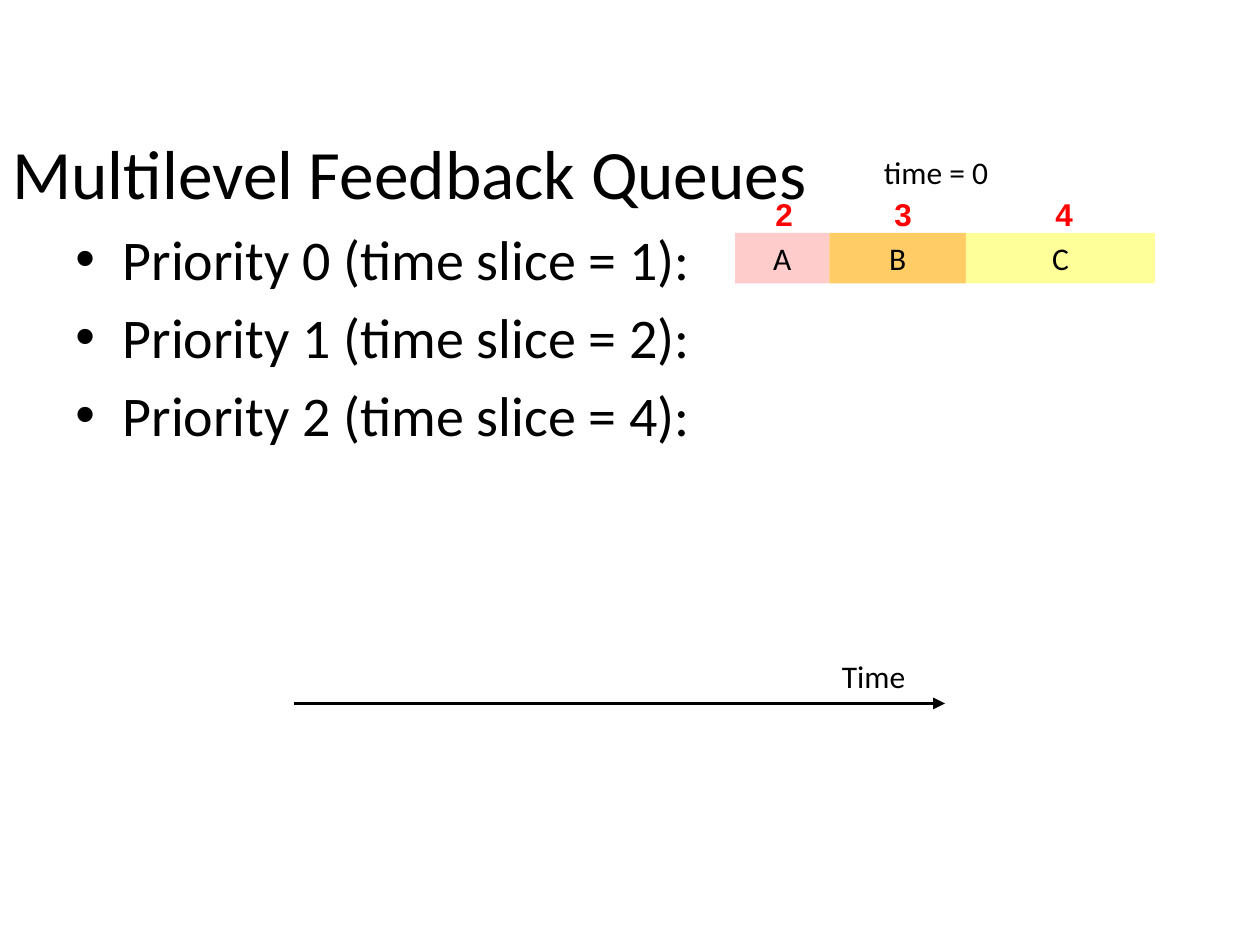
from dataclasses import dataclass

from lxml import etree
from pptx import Presentation
from pptx.dml.color import RGBColor
from pptx.enum.shapes import MSO_CONNECTOR, MSO_SHAPE
from pptx.enum.text import MSO_ANCHOR, MSO_AUTO_SIZE, PP_ALIGN
from pptx.oxml.ns import qn
from pptx.util import Pt

RECT = MSO_SHAPE.RECTANGLE
LINE = MSO_CONNECTOR.STRAIGHT
TOP = MSO_ANCHOR.TOP
MIDDLE = MSO_ANCHOR.MIDDLE
LEFT = PP_ALIGN.LEFT
CENTER = PP_ALIGN.CENTER
GROW = MSO_AUTO_SIZE.SHAPE_TO_FIT_TEXT


@dataclass(frozen=True)
class Theme:
    font: str = "Calibri"
    bold: str = "Arial"
    ink: str = "000000"
    red: str = "FF0000"
    pink: str = "FFCCCC"
    orange: str = "FFCC66"
    yellow: str = "FFFF99"
    title: float = 39.6
    body: float = 32
    label: float = 18


THEME = Theme()


def rgb(code):
    return RGBColor.from_string(code)


def style(frame, size, align=LEFT, color=THEME.ink, font=THEME.font, bold=False):
    for para in frame.paragraphs:
        para.alignment = align
        for run in para.runs:
            run.font.name = font
            run.font.size = Pt(size)
            run.font.bold = bold
            run.font.color.rgb = rgb(color)


def add_text(slide, text, x, y, w, h, size, anchor=TOP):
    box = slide.shapes.add_textbox(Pt(x), Pt(y), Pt(w), Pt(h))
    frame = box.text_frame
    frame.word_wrap = True
    frame.vertical_anchor = anchor
    frame.text = text
    style(frame, size)
    return frame


def add_label(slide, text, x, y, w, **look):
    frame = add_text(slide, text, x, y, w, 29, THEME.label)
    frame.word_wrap = False
    frame.auto_size = GROW
    style(frame, THEME.label, **look)


def add_list(slide, items, x, y, w, h):
    frame = add_text(slide, "\n".join(items), x, y, w, h, THEME.body)
    for para in frame.paragraphs:
        para.space_before = Pt(6)
        props = para._p.get_or_add_pPr()
        props.set("marL", str(Pt(27)))
        props.set("indent", str(Pt(-27)))
        etree.SubElement(props, qn("a:buFont"), typeface=THEME.bold)
        etree.SubElement(props, qn("a:buChar"), char="•")


def add_job(slide, name, x, y, w, fill):
    job = slide.shapes.add_shape(RECT, Pt(x), Pt(y), Pt(w), Pt(29))
    job.shadow.inherit = False
    job.fill.solid()
    job.fill.fore_color.rgb = rgb(fill)
    job.line.fill.background()
    frame = job.text_frame
    frame.vertical_anchor = TOP
    frame.auto_size = GROW
    frame.text = name
    style(frame, THEME.label, CENTER)


def add_arrow(slide, x1, x2, y):
    arrow = slide.shapes.add_connector(LINE, Pt(x1), Pt(y), Pt(x2), Pt(y))
    arrow.line.color.rgb = rgb(THEME.ink)
    arrow.line.width = Pt(2.25)
    etree.SubElement(arrow.line._get_or_add_ln(), qn("a:tailEnd"), type="triangle")
    etree.SubElement(arrow._element.spPr, qn("a:effectLst"))


def main():
    deck = Presentation()
    deck.slide_width, deck.slide_height = Pt(720), Pt(540)
    slide = deck.slides.add_slide(deck.slide_layouts[6])

    add_text(slide, "Multilevel Feedback Queues", 0, 72, 648, 52, THEME.title, MIDDLE)
    levels = [f"Priority {n} (time slice = {2 ** n}):" for n in range(3)]
    add_list(slide, levels, 36, 125, 684, 404)

    jobs = [
        ("A", "2", 54, 436, THEME.pink),
        ("B", "3", 78, 504, THEME.orange),
        ("C", "4", 108, 596, THEME.yellow),
    ]
    x = 420
    for name, count, width, mark, fill in jobs:
        add_job(slide, name, x, 133, width, fill)
        add_label(slide, count, mark, 108, 24, color=THEME.red, font=THEME.bold, bold=True)
        x += width

    add_label(slide, "time = 0", 498, 84, 79)
    add_arrow(slide, 168, 540, 402)
    add_label(slide, "Time", 474, 372, 55)
    deck.save("out.pptx")


if __name__ == "__main__":
    main()
